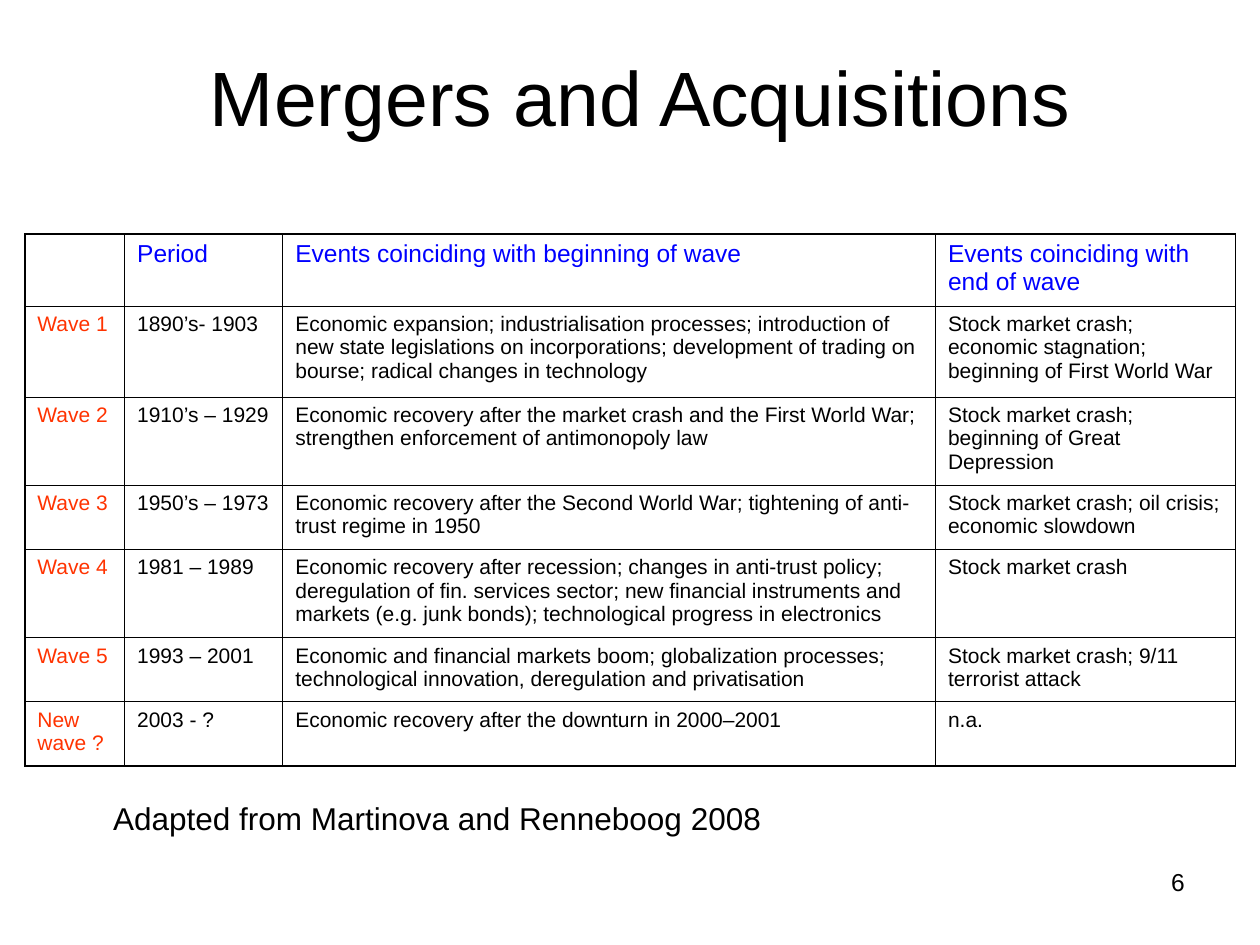
from lxml import etree
from pptx import Presentation
from pptx import util as u
from pptx.dml.color import RGBColor
from pptx.enum import text
from pptx.oxml import ns

BLACK = RGBColor(0x00, 0x00, 0x00)
BLUE = RGBColor(0x00, 0x00, 0xFF)
RED = RGBColor(0xFF, 0x33, 0x00)
THIN, THICK = 0.45, 1.08

COLUMN_WIDTHS = [57, 90.4, 373, 171.4]
ROW_HEIGHTS = [41, 52, 50.4, 36.8, 50.4, 36.6, 36.6]
WAVES = [
    ("", "Period", "Events coinciding with beginning of wave",
     "Events coinciding with end of wave"),
    ("Wave 1", "1890’s- 1903",
     "Economic expansion; industrialisation processes; introduction of new state "
     "legislations on incorporations; development of trading on bourse; radical "
     "changes in technology",
     "Stock market crash; economic stagnation; beginning of First World War"),
    ("Wave 2", "1910’s – 1929",
     "Economic recovery after the market crash and the First World War; "
     "strengthen enforcement of antimonopoly law",
     "Stock market crash; beginning of Great Depression"),
    ("Wave 3", "1950’s – 1973",
     "Economic recovery after the Second World War; tightening of anti-trust "
     "regime in 1950",
     "Stock market crash; oil crisis; economic slowdown"),
    ("Wave 4", "1981 – 1989",
     "Economic recovery after recession; changes in anti-trust policy; "
     "deregulation of fin. services sector; new financial instruments and "
     "markets (e.g. junk bonds); technological progress in electronics",
     "Stock market crash"),
    ("Wave 5", "1993 – 2001",
     "Economic and financial markets boom; globalization processes; "
     "technological innovation, deregulation and privatisation",
     "Stock market crash; 9/11 terrorist attack"),
    ("New wave ?", "2003 - ?",
     "Economic recovery after the downturn in 2000–2001", "n.a."),
]


def write(tf, words, size=12, color=BLACK, align=text.PP_ALIGN.LEFT):
    p = tf.paragraphs[0]
    p.alignment = align
    if not words:
        return
    r = p.add_run()
    r.text = words
    r.font.name = "Arial"
    r.font.size = u.Pt(size)
    r.font.bold = False
    r.font.color.rgb = color


def set_borders(cell, **widths):
    """Draw the cell's sides, given as L, R, T and B widths in points."""
    tc_pr = cell._tc.get_or_add_tcPr()
    for i, side in enumerate("LRTB"):
        ln = etree.Element(ns.qn(f"a:ln{side}"), w=str(u.Pt(widths[side])))
        fill = etree.SubElement(ln, ns.qn("a:solidFill"))
        etree.SubElement(fill, ns.qn("a:srgbClr"), val=str(BLACK))
        tc_pr.insert(i, ln)


class Deck:
    def __init__(self, s):
        self.s = s

    def place(self, sp, left, top, width, height):
        sp.left, sp.top = u.Pt(left), u.Pt(top)
        sp.width, sp.height = u.Pt(width), u.Pt(height)

    def title(self, words, *box):
        sp = self.s.shapes.title
        self.place(sp, *box)
        tf = sp.text_frame
        tf.auto_size = text.MSO_AUTO_SIZE.NONE
        tf.vertical_anchor = text.MSO_ANCHOR.MIDDLE
        write(tf, words, size=44, align=text.PP_ALIGN.CENTER)

    def label(self, words, *box, **style):
        sp = self.s.shapes.add_textbox(*map(u.Pt, box))
        sp.text_frame.word_wrap = True
        write(sp.text_frame, words, **style)

    def table(self, rows, left, top, widths, heights):
        frame = self.s.shapes.add_table(
            len(rows), len(widths), u.Pt(left), u.Pt(top),
            u.Pt(sum(widths)), u.Pt(sum(heights)))
        table = frame.table
        table.first_row = table.horz_banding = False
        for column, width in zip(table.columns, widths):
            column.width = u.Pt(width)
        for row, height in zip(table.rows, heights):
            row.height = u.Pt(height)

        last_row, last_col = len(rows) - 1, len(widths) - 1
        for i, row in enumerate(rows):
            for j, words in enumerate(row):
                cell = table.cell(i, j)
                cell.fill.background()
                color = BLUE if i == 0 else RED if j == 0 else BLACK
                write(cell.text_frame, words, size=14 if i == 0 else 12, color=color)
                set_borders(cell,
                            L=THICK if j == 0 else THIN,
                            R=THICK if j == last_col else THIN,
                            T=THICK if i == 0 else THIN,
                            B=THICK if i == last_row else THIN)


def main():
    prs = Presentation()
    prs.slide_width, prs.slide_height = u.Pt(720), u.Pt(540)
    deck = Deck(prs.slides.add_slide(prs.slide_layouts[5]))

    # Title
    deck.title("Mergers and Acquisitions", 60, 15, 612, 79)
    # Merger waves
    deck.table(WAVES, 14.2, 133.8, COLUMN_WIDTHS, ROW_HEIGHTS)
    # Source line and page number
    deck.label("Adapted from Martinova and Renneboog 2008", 57.6, 453, 557, 29, size=18)
    deck.label("6", 516, 492, 168, 37.5, size=14, align=text.PP_ALIGN.RIGHT)

    prs.save("out.pptx")


if __name__ == "__main__":
    main()
